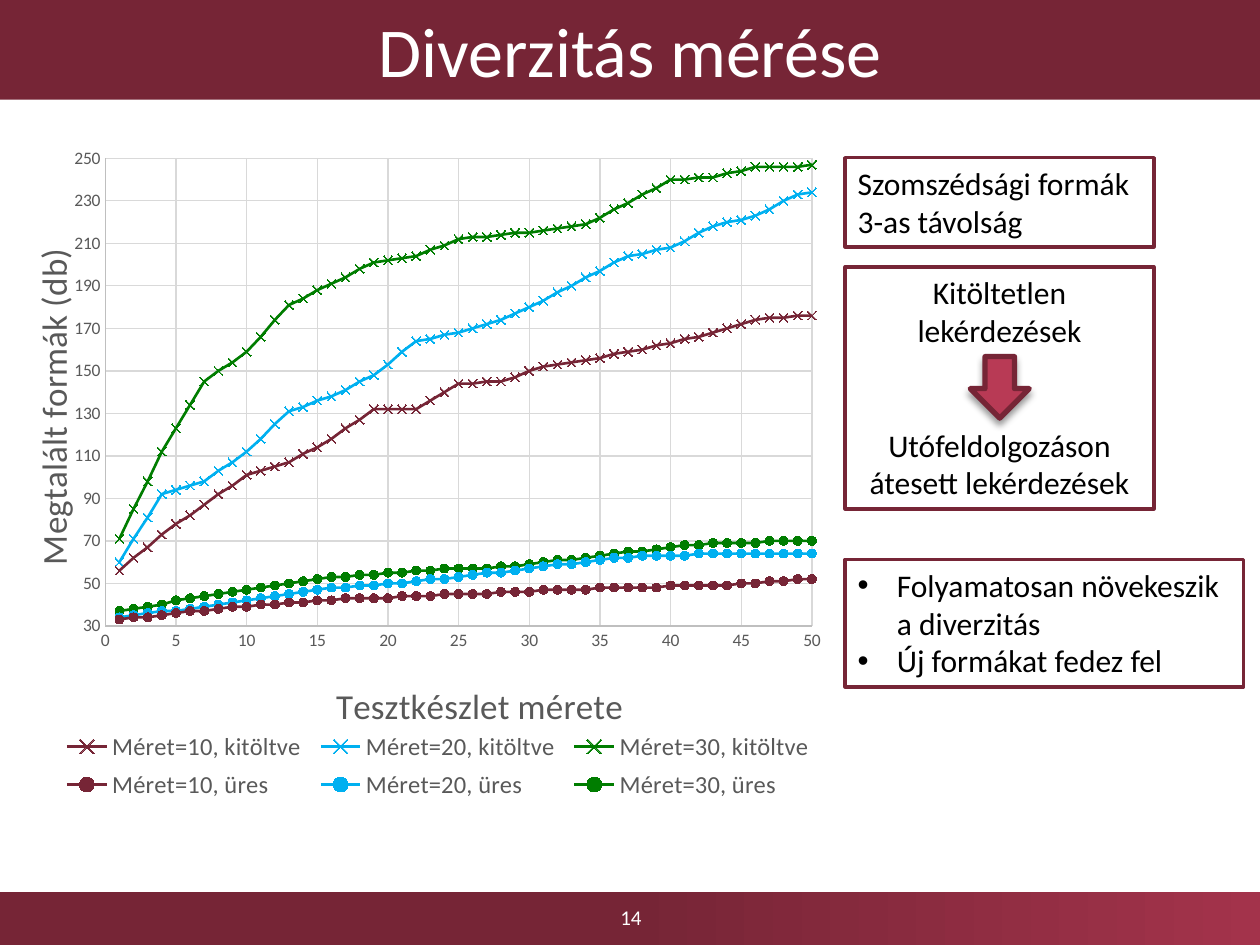
from dataclasses import dataclass
from pptx import Presentation
from pptx import oxml
from pptx.chart import data as cd
from pptx.dml import color as col
from pptx.enum import chart as ch, shapes as sh, text as tx
from pptx.oxml import ns
from pptx.util import Cm, Pt


@dataclass(frozen=True)
class Theme:
    wine = col.RGBColor.from_string("762536")
    rose = col.RGBColor.from_string("A3334B")
    red = col.RGBColor.from_string("B83A55")
    blue = col.RGBColor.from_string("00B0F0")
    green = col.RGBColor.from_string("007D00")
    white = col.RGBColor.from_string("FFFFFF")
    black = col.RGBColor.from_string("000000")
    gray = col.RGBColor.from_string("595959")
    axis = col.RGBColor.from_string("BFBFBF")
    grid = col.RGBColor.from_string("D9D9D9")
    face = "Calibri"
    head, label, body, key, page, tick = (Pt(n) for n in (40, 20, 18, 14, 12, 10))


T = Theme()


def style(font, size, color):
    font.name, font.size, font.bold = T.face, size, False
    font.color.rgb = color


def place(node, index, inner=False, **spots):
    for old in node.findall(ns.qn("c:layout")):
        node.remove(old)
    parts = '<c:layoutTarget val="inner"/>' if inner else ""
    parts += "".join(f'<c:{k}Mode val="edge"/>' for k in "xy")
    parts += "".join(f'<c:{k} val="{v}"/>' for k, v in spots.items())
    node.insert(index, oxml.parse_xml(
        f'<c:layout {ns.nsdecls("c")}><c:manualLayout>{parts}</c:manualLayout></c:layout>'))


deck = Presentation()
deck.slide_width, deck.slide_height = Cm(25.4), Cm(19.05)
slide = deck.slides.add_slide(deck.slide_layouts[5])

bar = slide.shapes.add_shape(sh.MSO_SHAPE.RECTANGLE, 0, Cm(17.98), Cm(25.4), Cm(1.07))
bar.shadow.inherit = False
bar.line.fill.background()
bar.fill.gradient()
bar.fill.gradient_angle = 0
for stop, (spot, tone) in zip(bar.fill.gradient_stops, ((0.5, T.wine), (1, T.rose))):
    stop.position, stop.color.rgb = spot, tone

title = slide.shapes.title
title.left, title.top, title.width, title.height = 0, 0, Cm(25.4), Cm(2.01)
title.fill.solid()
title.fill.fore_color.rgb = T.wine
page = slide.shapes.add_textbox(Cm(9.86), Cm(17.98), Cm(5.72), Cm(1.02))
for item, words, size in ((title, "Diverzitás mérése", T.head), (page, "14", T.page)):
    frame = item.text_frame
    frame.text = words
    frame.word_wrap = True
    frame.vertical_anchor = tx.MSO_ANCHOR.MIDDLE
    frame.paragraphs[0].alignment = tx.PP_ALIGN.CENTER
    style(frame.paragraphs[0].runs[0].font, size, T.white)

full, empty = "kitöltve", "üres"
count = 50
steps = {full: 3, empty: 7}
series = (
    (10, full, T.wine, (56, 73, 87, 101, 107, 118, 132, 132, 144,
                        145, 152, 155, 159, 163, 168, 174, 176, 176)),
    (20, full, T.blue, (60, 92, 98, 112, 131, 138, 148, 164, 168,
                        174, 183, 194, 204, 208, 218, 223, 233, 234)),
    (30, full, T.green, (71, 112, 145, 159, 181, 191, 201, 204, 212,
                         214, 216, 219, 229, 240, 241, 246, 246, 247)),
    (10, empty, T.wine, (33, 38, 42, 44, 46, 48, 49, 52)),
    (20, empty, T.blue, (34, 40, 47, 51, 56, 62, 64, 64)),
    (30, empty, T.green, (37, 45, 52, 56, 58, 64, 69, 70)),
)
data = cd.XyChartData()
for size, state, tone, knots in series:
    line = data.add_series(f"Méret={size}, {state}")
    step = steps[state]
    for x in range(count):
        i, off = divmod(x, step)
        y = knots[i]
        if off:
            span = min(step, count - 1 - i * step)
            y += (knots[i + 1] - y) * off / span
        line.add_data_point(x + 1, round(y))

chart = slide.shapes.add_chart(
    ch.XL_CHART_TYPE.XY_SCATTER_LINES, Cm(0.28), Cm(2.49), Cm(16.76), Cm(14.07), data).chart
style(chart.font, T.tick, T.black)
chart.has_title = False
chart.plots[0].vary_by_categories = False
place(chart._chartSpace.xpath(".//c:plotArea")[0], 0, True, x=0.11, y=0.05, w=0.85, h=0.67)
chart.has_legend = True
chart.legend.position = ch.XL_LEGEND_POSITION.BOTTOM
chart.legend.include_in_layout = False
style(chart.legend.font, T.key, T.gray)
place(chart.legend._element, 1, x=0.05, y=0.86, w=0.92, h=0.12)

axes = (
    (chart.category_axis, "Tesztkészlet mérete", 0, 50, 5, 0.38, 0.79),
    (chart.value_axis, "Megtalált formák (db)", 30, 250, 20, 0.01, 0.17),
)
for axis, name, low, high, step, x, y in axes:
    axis.minimum_scale, axis.maximum_scale, axis.major_unit = low, high, step
    axis.major_tick_mark = axis.minor_tick_mark = ch.XL_TICK_MARK.NONE
    axis.has_major_gridlines = True
    for edge, tone in ((axis.format.line, T.axis), (axis.major_gridlines.format.line, T.grid)):
        edge.color.rgb, edge.width = tone, Pt(0.75)
    style(axis.tick_labels.font, T.tick, T.gray)
    axis.tick_labels.number_format = "General"
    axis.tick_labels.number_format_is_linked = False
    frame = axis.axis_title.text_frame
    frame.text = name
    style(frame.paragraphs[0].runs[0].font, T.label, T.gray)
    place(axis.axis_title._element, 1, x=x, y=y)

for line, (size, state, tone, knots) in zip(chart.plots[0].series, series):
    line.format.line.color.rgb, line.format.line.width = tone, Pt(1.5)
    mark = line.marker
    mark.size = 5
    mark.format.line.color.rgb = tone
    if state == full:
        mark.style = ch.XL_MARKER_STYLE.X
        mark.format.fill.background()
    else:
        mark.style = ch.XL_MARKER_STYLE.CIRCLE
        mark.format.fill.solid()
        mark.format.fill.fore_color.rgb = tone

left, center = tx.PP_ALIGN.LEFT, tx.PP_ALIGN.CENTER
boxes = (
    (3.18, 6.22, 1.8, left, 0, False, ("Szomszédsági formák", "3-as távolság")),
    (5.38, 6.22, 4.88, center, 44, False,
     ("Kitöltetlen lekérdezések", "Utófeldolgozáson átesett lekérdezések")),
    (11.28, 8.03, 2.57, left, 0, True,
     ("Folyamatosan növekeszik a diverzitás", "Új formákat fedez fel")),
)
for top, wide, high, align, gap, dots, lines in boxes:
    box = slide.shapes.add_shape(
        sh.MSO_SHAPE.RECTANGLE, Cm(17.04), Cm(top), Cm(wide), Cm(high))
    box.shadow.inherit = False
    box.fill.solid()
    box.fill.fore_color.rgb = T.white
    box.line.color.rgb, box.line.width = T.wine, Pt(2)
    frame = box.text_frame
    frame.text = "\n".join(lines)
    frame.word_wrap = True
    frame.vertical_anchor = tx.MSO_ANCHOR.TOP
    for para in frame.paragraphs:
        para.alignment = align
        style(para.runs[0].font, T.body, T.black)
        if dots:
            prop = para._p.get_or_add_pPr()
            prop.set("marL", str(Cm(0.79)))
            prop.set("indent", str(-Cm(0.79)))
            prop.append(oxml.parse_xml(f'<a:buFont {ns.nsdecls("a")} typeface="Arial"/>'))
            prop.append(oxml.parse_xml(f'<a:buChar {ns.nsdecls("a")} char="•"/>'))
    if gap:
        frame.paragraphs[1].space_before = Pt(gap)

arrow = slide.shapes.add_shape(
    sh.MSO_SHAPE.DOWN_ARROW, Cm(19.56), Cm(7.19), Cm(1.19), Cm(1.24))
arrow.fill.solid()
arrow.fill.fore_color.rgb = T.red
arrow.line.color.rgb, arrow.line.width = T.wine, Pt(3)
arrow._element.spPr.append(oxml.parse_xml(
    f'<a:effectLst {ns.nsdecls("a")}><a:outerShdw blurRad="{Pt(4)}" dist="{Pt(3)}" dir="5400000">'
    '<a:srgbClr val="000000"><a:alpha val="40000"/></a:srgbClr></a:outerShdw></a:effectLst>'))

deck.save("out.pptx")
